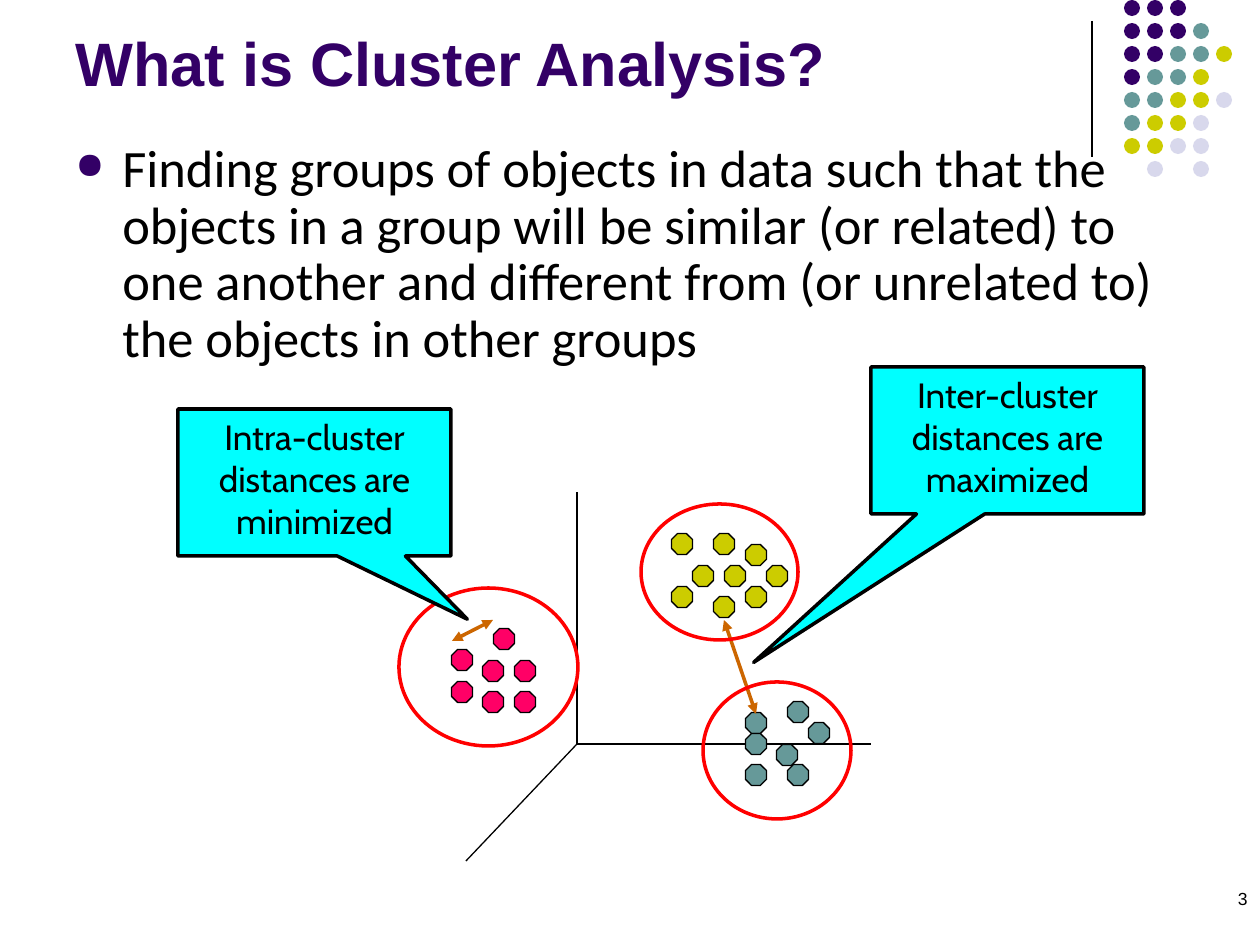
from lxml.etree import SubElement
from pptx import Presentation
from pptx.dml.color import RGBColor
from pptx.enum.shapes import MSO_CONNECTOR as Connector, MSO_SHAPE as Shape
from pptx.enum.text import MSO_ANCHOR as Anchor, PP_ALIGN as Align
from pptx.oxml.ns import qn
from pptx.util import Emu, Pt

PX = 914400 / 126
BLACK, PURPLE, TEAL, OLIVE, LILAC = "000000", "330066", "669999", "CCCC00", "D8D8EC"
PINK, RED, CYAN, ORANGE = "FF0066", "FF0000", "00FFFF", "CC6600"

DOT_COLORS = {"P": PURPLE, "T": TEAL, "O": OLIVE, "L": LILAC}
DOT_ROWS = ["PPP", "PPPT", "PPTTO", "PTTO", "TTOOL", "TOOL", "OOLL", " L L"]
DOT_LEFT, DOT_STEP, DOT_SIZE = 1124, 23, 16

OBJECT_SIZE = 21
CLUSTERS = {
    OLIVE: [(703, 576), (735, 576), (724, 544), (724, 607), (777, 576),
            (756, 555), (682, 544), (756, 597), (682, 597)],
    PINK: [(462, 660), (493, 671), (493, 702), (525, 671), (504, 639),
           (525, 702), (462, 692)],
    TEAL: [(756, 723), (819, 733), (787, 755), (756, 775), (798, 775),
           (756, 744), (798, 712)],
}
ORIGIN = (577, 744)
AXIS_ENDS = [(577, 492), (871, 744), (466, 861)]
CLUSTER_RINGS = [(399, 588, 179, 158), (641, 504, 157, 136), (703, 682, 148, 137)]

TITLE = "What is Cluster Analysis?"
DEFINITION = ("Finding groups of objects in data such that the objects in a group "
              "will be similar (or related) to one another and different from "
              "(or unrelated to) the objects in other groups")


def px(*lengths):
    """Turn pixel lengths into EMU."""
    return [Emu(round(length * PX)) for length in lengths]


def rgb(color):
    """Turn a hex string into a colour."""
    return RGBColor.from_string(color)


def apply(target, values):
    """Set every attribute named in values on target."""
    for name, value in values.items():
        setattr(target, name, value)


def write(frame, wording, font, color=BLACK, **paragraph_format):
    """Put one formatted paragraph into a text frame and return it."""
    frame.word_wrap = True
    paragraph = frame.paragraphs[0]
    run = paragraph.add_run()
    run.text = wording
    apply(paragraph, paragraph_format)
    apply(run.font, font)
    run.font.color.rgb = rgb(color)
    return paragraph


def add_text(slide, box, wording, font, color=BLACK, anchor=Anchor.TOP, **paragraph_format):
    """Add a text box and return its paragraph."""
    frame = slide.shapes.add_textbox(*px(*box)).text_frame
    frame.vertical_anchor = anchor
    return write(frame, wording, font, color, **paragraph_format)


def add_bullet(paragraph, indent):
    """Give a paragraph a hanging round bullet."""
    properties = paragraph._p.get_or_add_pPr()
    hang = px(indent)[0]
    properties.set("marL", str(hang))
    properties.set("indent", str(-hang))
    bullet_color = SubElement(properties, qn("a:buClr"))
    SubElement(bullet_color, qn("a:srgbClr"), val=PURPLE)
    SubElement(properties, qn("a:buSzPct"), val="70000")
    SubElement(properties, qn("a:buChar"), char="●")


def add_figure(slide, kind, box, fill=None, line=None, width=0.75, adjust=()):
    """Add a preset shape with optional fill and outline."""
    figure = slide.shapes.add_shape(kind, *px(*box))
    figure.shadow.inherit = False
    for index, value in enumerate(adjust):
        figure.adjustments[index] = value
    if fill:
        figure.fill.solid()
        figure.fill.fore_color.rgb = rgb(fill)
    else:
        figure.fill.background()
    if line:
        figure.line.color.rgb = rgb(line)
        figure.line.width = Pt(width)
    else:
        figure.line.fill.background()
    return figure


def add_line(slide, start, end, color=BLACK, width=0.75, arrows=False):
    """Add a straight line, with arrowheads at both ends if asked."""
    line = slide.shapes.add_connector(Connector.STRAIGHT, *px(*start, *end))
    line.line.color.rgb = rgb(color)
    line.line.width = Pt(width)
    if arrows:
        for tag in ("a:headEnd", "a:tailEnd"):
            SubElement(line.line._get_or_add_ln(), qn(tag), type="triangle")
    SubElement(line._element.spPr, qn("a:effectLst"))


def add_callout(slide, box, pointer, wording):
    """Add a callout with centred wording."""
    callout = add_figure(slide, Shape.RECTANGULAR_CALLOUT, box, CYAN, BLACK, 2, pointer)
    callout.text_frame.vertical_anchor = Anchor.TOP
    write(callout.text_frame, wording, {"name": "Cabin", "size": Pt(20)},
          alignment=Align.CENTER)


def add_corner_dots(slide):
    """Add the dot pattern in the top right corner."""
    for row, codes in enumerate(DOT_ROWS):
        for column, code in enumerate(codes):
            if code in DOT_COLORS:
                box = (DOT_LEFT + column * DOT_STEP, row * DOT_STEP, DOT_SIZE, DOT_SIZE)
                add_figure(slide, Shape.OVAL, box, DOT_COLORS[code])


def add_clusters(slide):
    """Add the axes and the objects of each cluster."""
    for end in AXIS_ENDS:
        add_line(slide, ORIGIN, end)
    for color, centers in CLUSTERS.items():
        for x, y in centers:
            box = (x - OBJECT_SIZE / 2, y - OBJECT_SIZE / 2, OBJECT_SIZE, OBJECT_SIZE)
            add_figure(slide, Shape.OCTAGON, box, color, BLACK, adjust=[0.29])


def main():
    """Build the slide and save it."""
    deck = Presentation()
    deck.slide_width, deck.slide_height = px(1260, 945)
    slide = deck.slides.add_slide(deck.slide_layouts[6])

    add_line(slide, (1092, 21), (1092, 157))
    add_corner_dots(slide)
    add_text(slide, (966, 882, 294, 32), "3", {"name": "Arial", "size": Pt(10)},
             alignment=Align.RIGHT)
    add_text(slide, (63, 42, 1040, 63), TITLE,
             {"name": "Arial", "size": Pt(35), "bold": True}, PURPLE, Anchor.BOTTOM)
    definition = add_text(slide, (63, 136, 1134, 252), DEFINITION,
                          {"name": "Calibri", "size": Pt(30)}, line_spacing=0.9)
    add_bullet(definition, 47)

    add_clusters(slide)
    add_line(slide, (756, 714), (724, 620), ORANGE, 2, arrows=True)
    add_callout(slide, (871, 367, 273, 147), (-0.93, 1.51),
                "Inter-cluster distances are maximized")
    for ring in CLUSTER_RINGS:
        add_figure(slide, Shape.OVAL, ring, line=RED, width=2)
    add_line(slide, (452, 641), (493, 620), ORANGE, 2, arrows=True)
    add_callout(slide, (178, 409, 273, 147), (0.56, 0.93),
                "Intra-cluster distances are minimized")
    deck.save("out.pptx")


if __name__ == "__main__":
    main()
